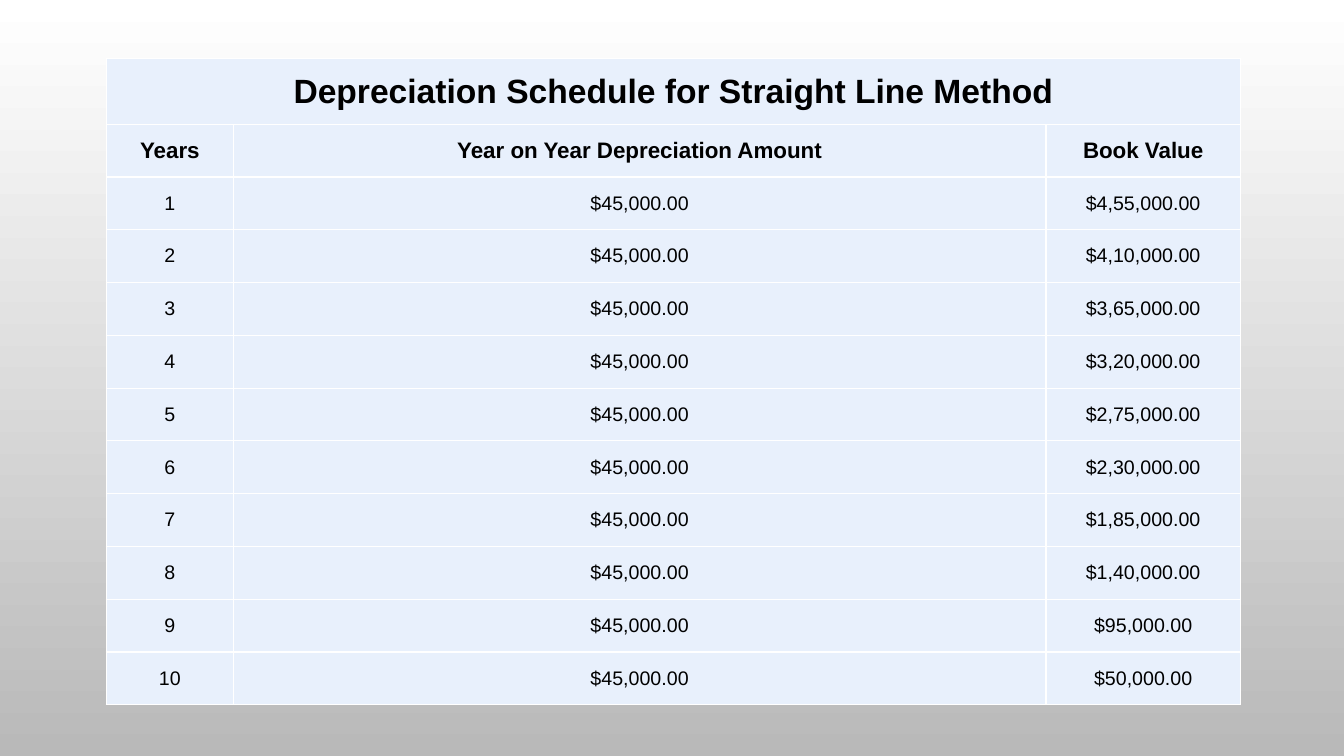
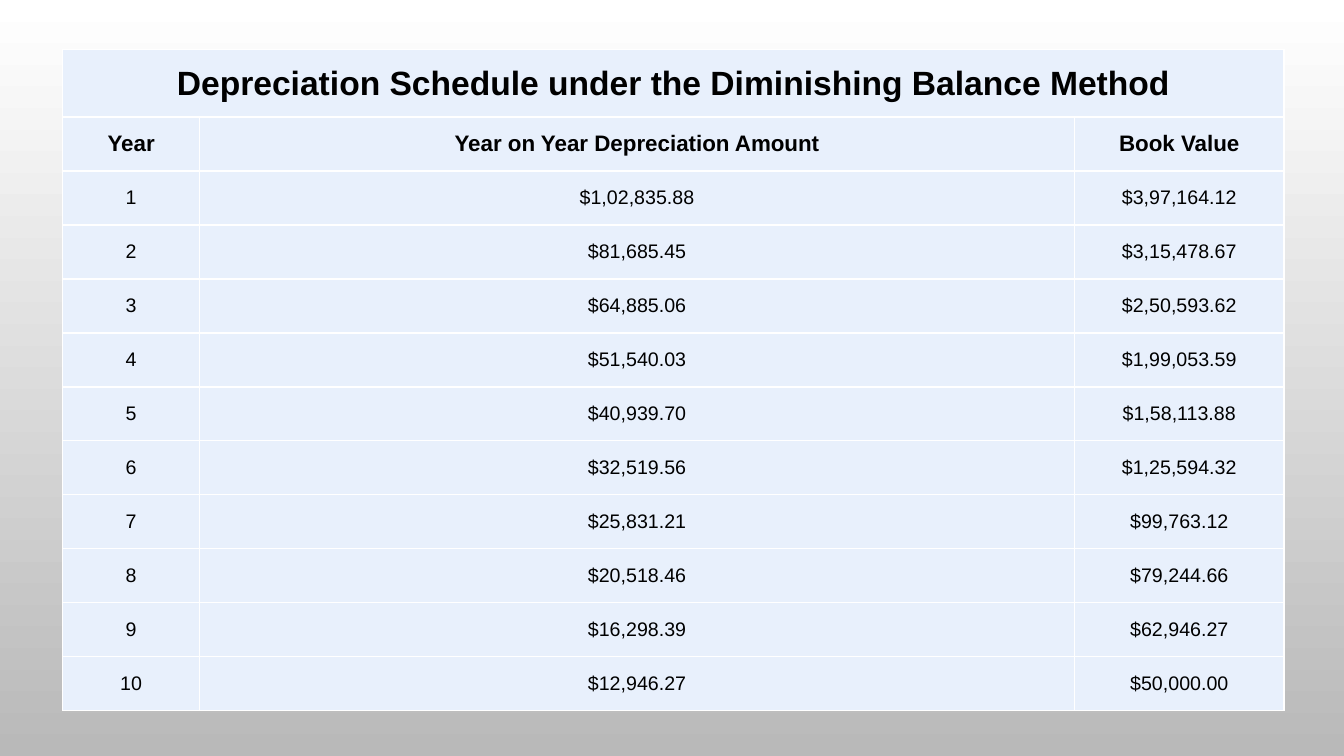
import dataclasses

import lxml.etree
import pptx
import pptx.dml.color
import pptx.enum.text
import pptx.oxml.ns
import pptx.slide
import pptx.table
import pptx.util

Cm = pptx.util.Cm

FONT = "Arial"
TEXT = "000000"
CELL = "E8F0FC"
BORDER = "FFFFFF"
BORDER_WIDTH = pptx.util.Pt(1)
BACKGROUND = ("FFFFFF", "B9B9B9")
TITLE_SIZE, HEADING_SIZE, BODY_SIZE = 24, 16, 14


@dataclasses.dataclass(frozen=True)
class Schedule:
    """A depreciation table; lengths are in centimetres."""
    title: str
    year_heading: str
    amounts: list[str]
    book_values: list[str]
    left: float
    top: float
    column_widths: tuple[float, float, float]
    title_height: float
    row_height: float

    def rows(self) -> list[tuple[str, str, str]]:
        years = [str(year) for year in range(1, len(self.amounts) + 1)]
        return [
            (self.title, "", ""),
            (self.year_heading, "Year on Year Depreciation Amount", "Book Value"),
            *zip(years, self.amounts, self.book_values),
        ]


SCHEDULES = [
    Schedule(
        title="Depreciation Schedule for Straight Line Method",
        year_heading="Years",
        amounts=["$45,000.00"] * 10,
        book_values=[
            "$4,55,000.00", "$4,10,000.00", "$3,65,000.00", "$3,20,000.00",
            "$2,75,000.00", "$2,30,000.00", "$1,85,000.00", "$1,40,000.00",
            "$95,000.00", "$50,000.00",
        ],
        left=2.68, top=1.48, column_widths=(3.2, 20.48, 4.9),
        title_height=1.65, row_height=1.33,
    ),
    Schedule(
        title="Depreciation Schedule under the Diminishing Balance Method",
        year_heading="Year",
        amounts=[
            "$1,02,835.88", "$81,685.45", "$64,885.06", "$51,540.03",
            "$40,939.70", "$32,519.56", "$25,831.21", "$20,518.46",
            "$16,298.39", "$12,946.27",
        ],
        book_values=[
            "$3,97,164.12", "$3,15,478.67", "$2,50,593.62", "$1,99,053.59",
            "$1,58,113.88", "$1,25,594.32", "$99,763.12", "$79,244.66",
            "$62,946.27", "$50,000.00",
        ],
        left=1.58, top=1.25, column_widths=(3.45, 22.05, 5.28),
        title_height=1.7, row_height=1.36,
    ),
]


def rgb(value: str) -> pptx.dml.color.RGBColor:
    return pptx.dml.color.RGBColor.from_string(value)


def shade_background(master: pptx.slide.SlideMaster) -> None:
    fill = master.background.fill
    fill.gradient()
    fill.gradient_angle = 270
    for stop, color in zip(fill.gradient_stops, BACKGROUND):
        stop.color.rgb = rgb(color)


def add_borders(cell: pptx.table._Cell) -> None:
    qn = pptx.oxml.ns.qn
    properties = cell._tc.get_or_add_tcPr()
    for side in ("a:lnL", "a:lnR", "a:lnT", "a:lnB"):
        line = lxml.etree.SubElement(properties, qn(side), w=str(BORDER_WIDTH))
        fill = lxml.etree.SubElement(line, qn("a:solidFill"))
        lxml.etree.SubElement(fill, qn("a:srgbClr"), val=BORDER)


def style_cell(cell: pptx.table._Cell, text: str, size: int, bold: bool) -> None:
    add_borders(cell)
    cell.fill.solid()
    cell.fill.fore_color.rgb = rgb(CELL)
    cell.margin_left = cell.margin_right = cell.margin_top = cell.margin_bottom = 0
    cell.vertical_anchor = pptx.enum.text.MSO_ANCHOR.MIDDLE
    cell.text = text
    para = cell.text_frame.paragraphs[0]
    para.alignment = pptx.enum.text.PP_ALIGN.CENTER
    para.font.name = FONT
    para.font.size = pptx.util.Pt(size)
    para.font.bold = bold
    para.font.color.rgb = rgb(TEXT)


def add_schedule(page: pptx.slide.Slide, schedule: Schedule) -> None:
    rows = schedule.rows()
    widths = schedule.column_widths
    heights = [schedule.title_height] + [schedule.row_height] * (len(rows) - 1)
    table = page.shapes.add_table(
        len(rows), len(widths), Cm(schedule.left), Cm(schedule.top),
        Cm(sum(widths)), Cm(sum(heights)),
    ).table
    table.first_row = table.horz_banding = False
    for column, width in zip(table.columns, widths):
        column.width = Cm(width)
    for row, height in zip(table.rows, heights):
        row.height = Cm(height)

    sizes = [TITLE_SIZE, HEADING_SIZE] + [BODY_SIZE] * len(schedule.amounts)
    for row, texts, size in zip(table.rows, rows, sizes):
        for cell, text in zip(row.cells, texts):
            style_cell(cell, text, size, bold=size > BODY_SIZE)
    table.cell(0, 0).merge(table.cell(0, len(widths) - 1))


def main() -> None:
    deck = pptx.Presentation()
    deck.slide_width, deck.slide_height = Cm(33.87), Cm(19.05)
    shade_background(deck.slide_master)
    blank = deck.slide_layouts[6]
    for schedule in SCHEDULES:
        add_schedule(deck.slides.add_slide(blank), schedule)
    deck.save("out.pptx")


if __name__ == "__main__":
    main()
